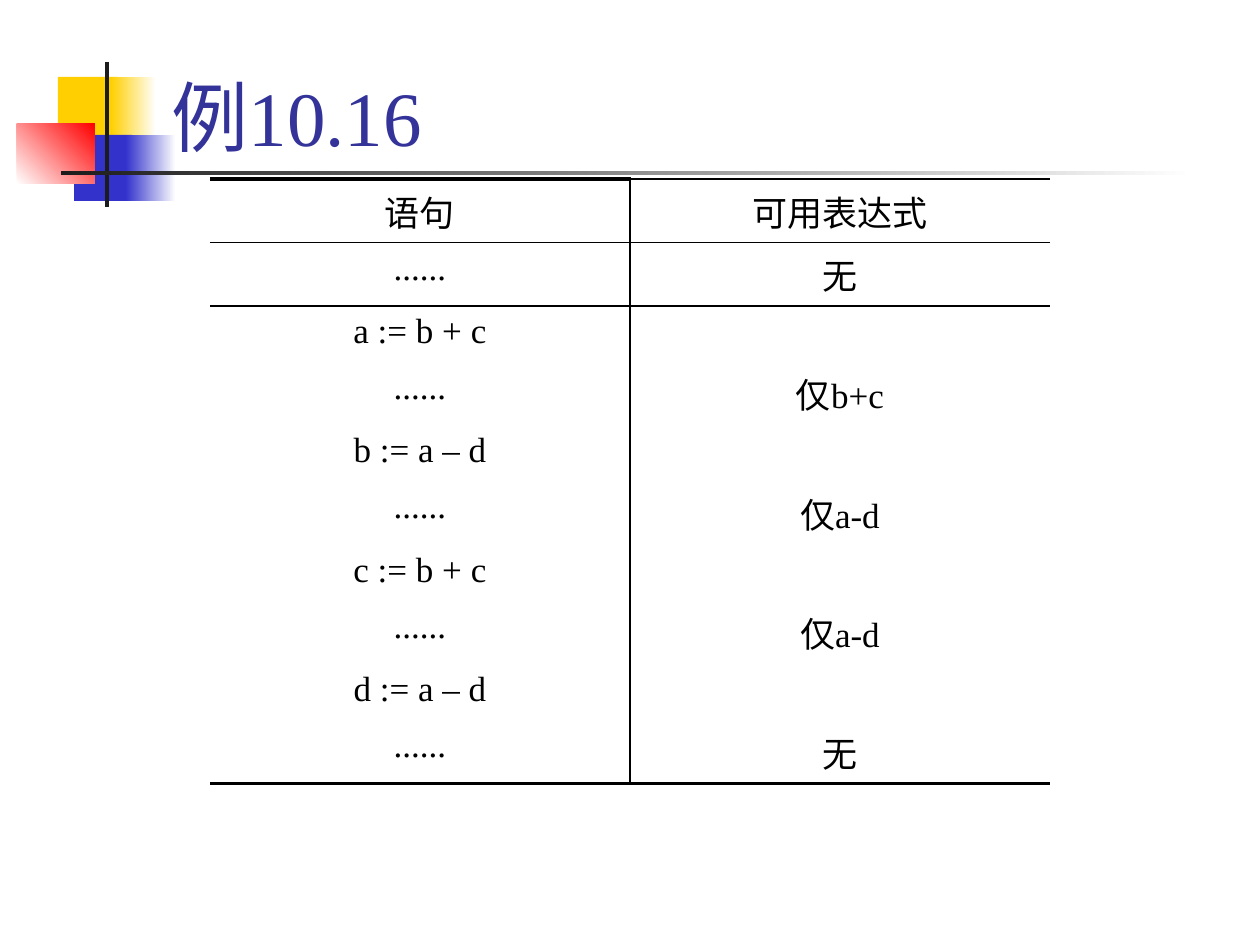
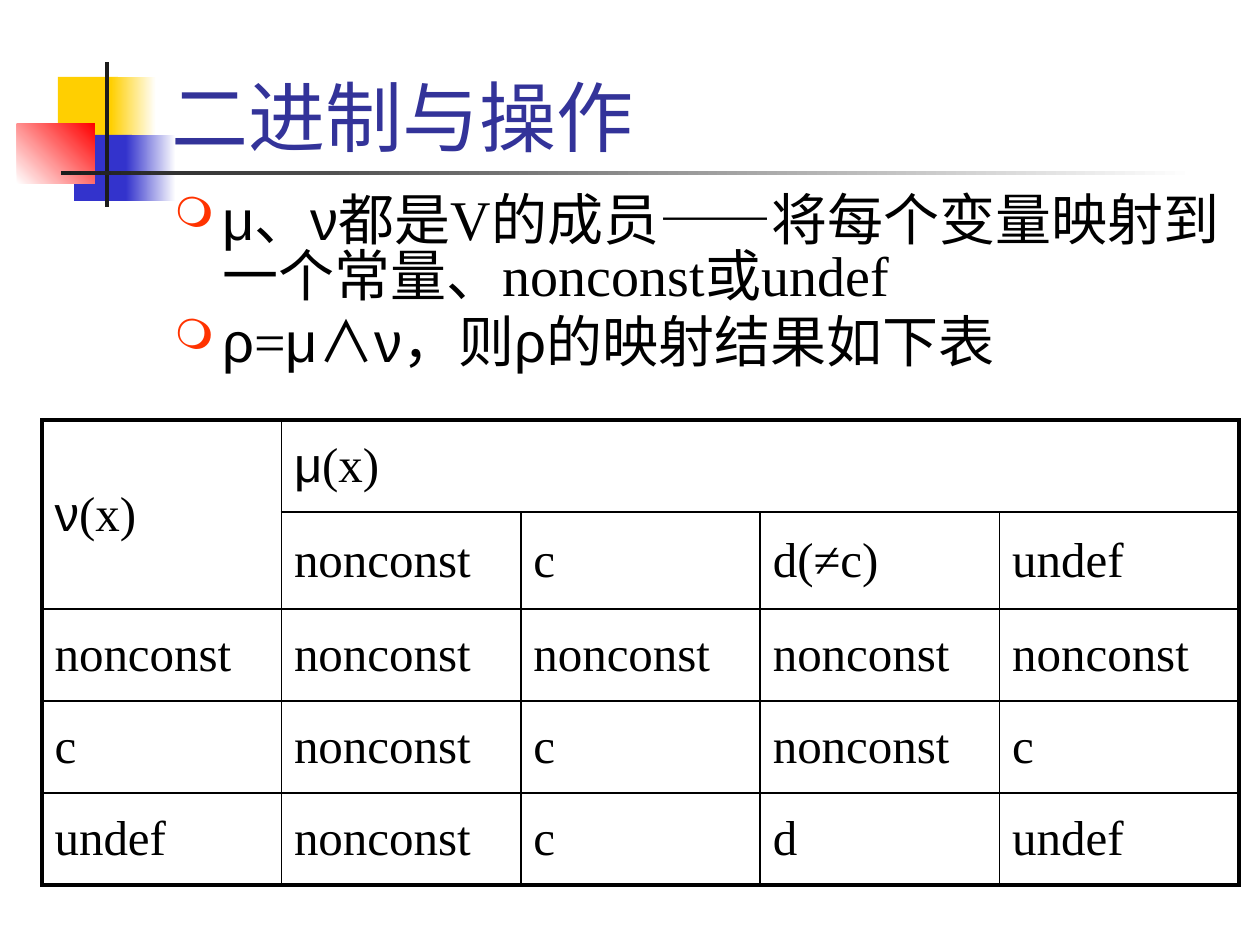
"""Build two compiler lecture slides: available expressions and the meet operation."""
from dataclasses import dataclass
from typing import Callable, NamedTuple

from lxml.etree import SubElement
from pptx import Presentation
from pptx.dml.color import RGBColor
from pptx.enum.shapes import MSO_SHAPE
from pptx.enum.text import MSO_ANCHOR, MSO_AUTO_SIZE, PP_ALIGN
from pptx.oxml.ns import qn
from pptx.util import Emu, Pt

PX = 914400 / 126
SERIF, SANS, CJK = "Times New Roman", "Arial", "Noto Sans CJK SC"
BLACK, WHITE, INK, TITLE = "000000", "FFFFFF", "1C1C1C", "333399"
YELLOW, BLUE, RED, BULLET = "FFCF01", "3333CC", "FF0000", "FF3300"
THIN, THICK = 1, 2.25
NO_TABLE_STYLE = "{2D5ABB26-0587-4C30-8999-92F81FD0307C}"


class Box(NamedTuple):
    """Left, top, width and height in px."""
    x: int
    y: int
    w: int
    h: int


class Run(NamedTuple):
    """Text in one font."""
    text: str
    font: str = SERIF


class Edges(NamedTuple):
    """Border widths of one cell in points, 0 for none."""
    left: float
    right: float
    top: float
    bottom: float


@dataclass(frozen=True)
class Patch:
    """Rectangle of the title ornament, plain or fading to a second colour."""
    box: Box
    color: str
    end: str = ""
    angle: int = 0


@dataclass(frozen=True)
class Grid:
    """A table and the rule for its borders."""
    box: Box
    heights: list[int]
    rows: list[list[str | list[Run]]]
    size: int
    align: PP_ALIGN
    anchor: MSO_ANCHOR
    edges: Callable[[int, int, int, int], Edges]
    merges: tuple = ()


ORNAMENT = [
    Patch(Box(58, 77, 60, 66), YELLOW),
    Patch(Box(111, 77, 45, 66), YELLOW, WHITE),
    Patch(Box(74, 135, 58, 66), BLUE),
    Patch(Box(126, 135, 50, 66), BLUE, WHITE),
    Patch(Box(17, 124, 78, 60), WHITE, RED, 45),
    Patch(Box(105, 62, 4, 145), INK),
    Patch(Box(61, 171, 1134, 4), INK, WHITE),
]
TITLE_BOX = Box(159, 10, 1074, 158)
BODY_BOX = Box(162, 189, 1071, 651)
BODY = [
    [Run("μ、ν", SANS),
     Run("都是V的成员——将每个变量映射到一个常量、nonconst或undef")],
    [Run("ρ", SANS), Run("="), Run("μ", SANS), Run("∧", CJK), Run("ν", SANS),
     Run("，则"), Run("ρ的映射结果如下表", SANS)],
]


def statement_edges(r: int, c: int, last_r: int, last_c: int) -> Edges:
    """Rule the header, the column divider and the foot."""
    top = {0: THIN if c else THICK, 1: THIN}.get(r, 0)
    bottom = {0: THIN, 9: THICK}.get(last_r, 0)
    return Edges(THIN if c else 0, 0 if c else THIN, top, bottom)


def meet_edges(r: int, c: int, last_r: int, last_c: int) -> Edges:
    """Rule every cell, with a thick outer frame."""
    return Edges(THIN if c else THICK, THICK if last_c == 4 else THIN,
                 THIN if r else THICK, THICK if last_r == 4 else THIN)


STATEMENTS = Grid(
    Box(210, 179, 840, 602), [63] + [63, 56] * 4 + [63],
    [["语句", "可用表达式"],
     ["......", "无"],
     ["a := b + c", ""],
     ["......", "仅b+c"],
     ["b := a – d", ""],
     ["......", "仅a-d"],
     ["c := b + c", ""],
     ["......", "仅a-d"],
     ["d := a – d", ""],
     ["......", "无"]],
    20, PP_ALIGN.CENTER, MSO_ANCHOR.TOP, statement_edges)
MEET = Grid(
    Box(42, 420, 1197, 465), [92, 97, 92, 92, 92],
    [[[Run("ν", SANS), Run("(x)")], [Run("μ", SANS), Run("(x)")], "", "", ""],
     ["", "nonconst", "c", "d(≠c)", "undef"],
     ["nonconst"] * 5,
     ["c", "nonconst", "c", "nonconst", "c"],
     ["undef", "nonconst", "c", "d", "undef"]],
    28, PP_ALIGN.LEFT, MSO_ANCHOR.MIDDLE, meet_edges,
    (((0, 0), (1, 0)), ((0, 1), (0, 4))))


def px(n: float) -> Emu:
    """Turn px into EMU."""
    return Emu(round(n * PX))


def place(box: Box) -> tuple:
    """Turn a box into EMU."""
    return tuple(map(px, box))


def rgb(color: str) -> RGBColor:
    """Turn a hex string into a colour."""
    return RGBColor.from_string(color)


def add_runs(p, runs: list[Run], size: int, color: str = BLACK) -> None:
    """Add runs to a paragraph."""
    for run in runs:
        r = p.add_run()
        r.text = run.text
        r.font.name, r.font.size = run.font, Pt(size)
        r.font.color.rgb = rgb(color)


def add_patch(slide, patch: Patch):
    """Draw one rectangle of the ornament."""
    sp = slide.shapes.add_shape(MSO_SHAPE.RECTANGLE, *place(patch.box))
    sp.shadow.inherit = False
    sp.line.fill.background()
    if patch.end:
        sp.fill.gradient()
        sp.fill.gradient_angle = patch.angle
        for stop, color in zip(sp.fill.gradient_stops, (patch.color, patch.end)):
            stop.color.rgb = rgb(color)
    else:
        sp.fill.solid()
        sp.fill.fore_color.rgb = rgb(patch.color)
    return sp


def decorate_layout(layout, slide) -> None:
    """Give the layout the ornament in place of its footer placeholders."""
    title, *footers = layout.placeholders
    for footer in footers:
        footer.element.getparent().remove(footer.element)
    for patch in ORNAMENT:
        title.element.addprevious(add_patch(slide, patch).element)


def add_title(slide, text: str) -> None:
    """Place and fill the title."""
    sp = slide.shapes.title
    sp.left, sp.top, sp.width, sp.height = place(TITLE_BOX)
    tf = sp.text_frame
    tf.vertical_anchor, tf.auto_size = MSO_ANCHOR.BOTTOM, MSO_AUTO_SIZE.NONE
    p = tf.paragraphs[0]
    p.alignment = PP_ALIGN.LEFT
    add_runs(p, [Run(text)], 44, TITLE)


def add_bullet(p) -> None:
    """Give a paragraph a hanging red ring."""
    pPr = p._p.get_or_add_pPr()
    pPr.set("marL", str(px(48)))
    pPr.set("indent", str(px(-48)))
    SubElement(SubElement(pPr, qn("a:buClr")), qn("a:srgbClr"), val=BULLET)
    SubElement(pPr, qn("a:buSzPct"), val="75000")
    SubElement(pPr, qn("a:buChar"), char="❍")


def add_body(slide) -> None:
    """Add the bulleted text."""
    tf = slide.shapes.add_textbox(*place(BODY_BOX)).text_frame
    tf.word_wrap = True
    for i, runs in enumerate(BODY):
        p = tf.add_paragraph() if i else tf.paragraphs[0]
        add_bullet(p)
        p.line_spacing = 0.84
        if i:
            p.space_before = Pt(5)
        add_runs(p, runs, 32)


def set_borders(cell, edges: Edges) -> None:
    """Draw the borders of a cell."""
    tcPr = cell._tc.get_or_add_tcPr()
    for tag, width in zip(("a:lnL", "a:lnR", "a:lnT", "a:lnB"), edges):
        if width:
            ln = SubElement(tcPr, qn(tag), w=str(Pt(width)))
            SubElement(SubElement(ln, qn("a:solidFill")), qn("a:srgbClr"), val=BLACK)


def add_grid(slide, grid: Grid) -> None:
    """Add a table with its text and borders."""
    frame = slide.shapes.add_table(len(grid.rows), len(grid.rows[0]), *place(grid.box))
    table = frame.table
    table.first_row = table.horz_banding = False
    next(frame.element.iter(qn("a:tableStyleId"))).text = NO_TABLE_STYLE
    for row, height in zip(table.rows, grid.heights):
        row.height = px(height)
    for start, end in grid.merges:
        table.cell(*start).merge(table.cell(*end))
    for r, row in enumerate(grid.rows):
        for c, content in enumerate(row):
            cell = table.cell(r, c)
            if not cell.is_spanned:
                set_borders(cell, grid.edges(r, c, r + cell.span_height - 1,
                                             c + cell.span_width - 1))
            cell.fill.background()
            cell.vertical_anchor = grid.anchor
            if content:
                p = cell.text_frame.paragraphs[0]
                p.alignment = grid.align
                runs = [Run(content)] if isinstance(content, str) else content
                add_runs(p, runs, grid.size)


def main() -> None:
    """Build and save the slides."""
    prs = Presentation()
    prs.slide_width, prs.slide_height = px(1260), px(945)
    layout = prs.slide_layouts[5]

    s = prs.slides.add_slide(layout)
    decorate_layout(layout, s)
    add_title(s, "例10.16")
    add_grid(s, STATEMENTS)

    s = prs.slides.add_slide(layout)
    add_title(s, "二进制与操作")
    add_body(s)
    add_grid(s, MEET)

    prs.save("out.pptx")


if __name__ == "__main__":
    main()
